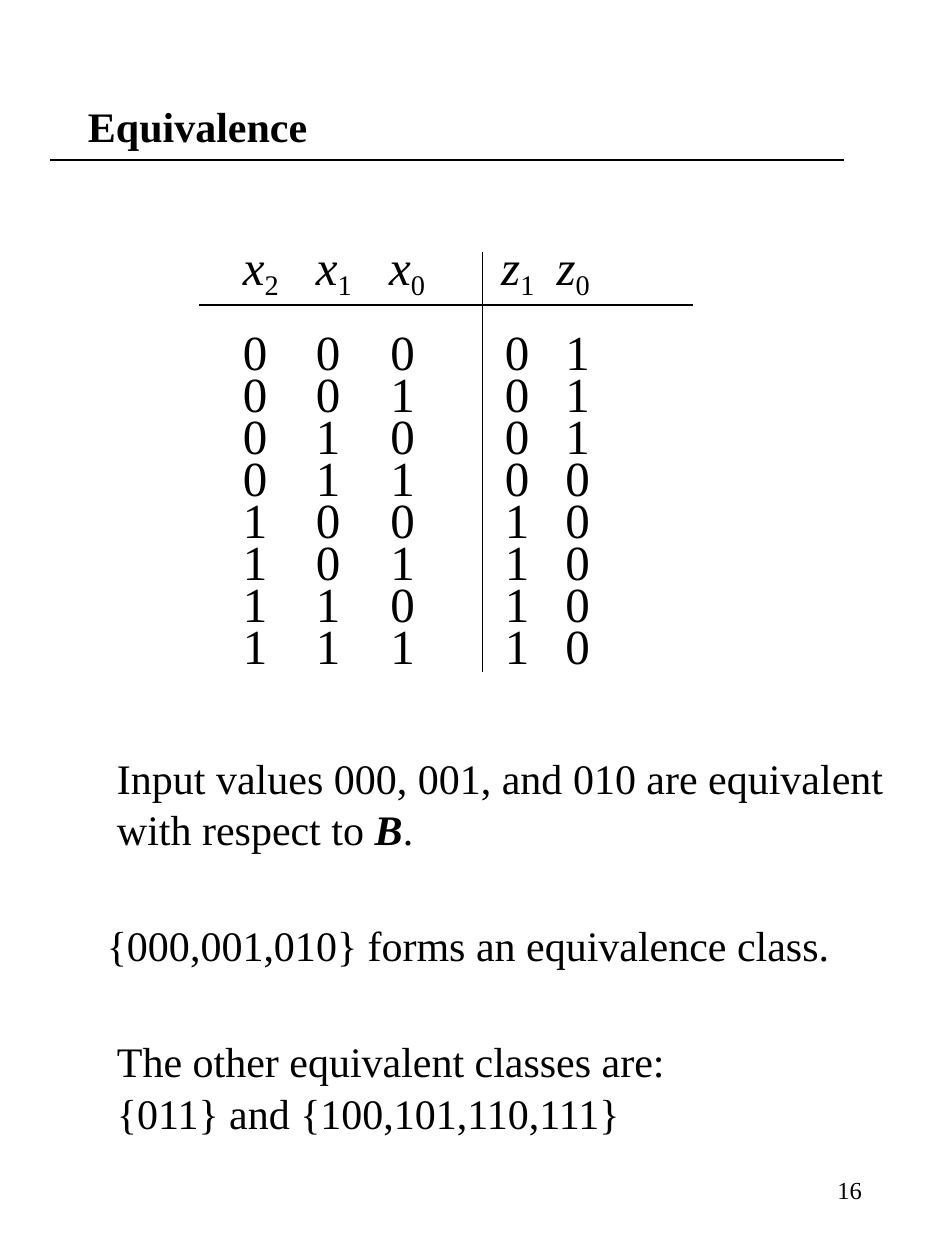
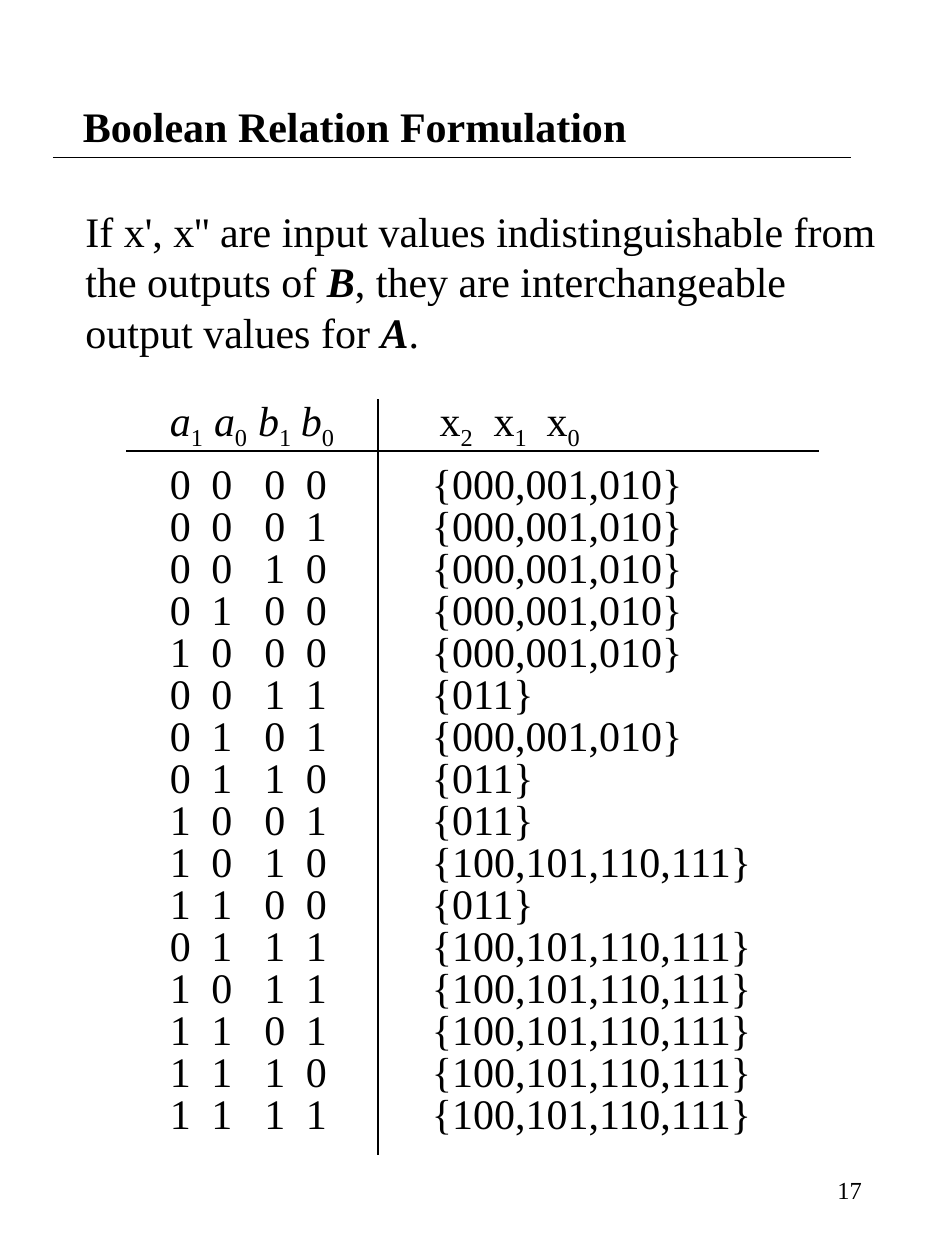
"""Build two slides on equivalence classes and the Boolean relation they give."""
from lxml.etree import SubElement
from pptx import Presentation
from pptx.dml.color import RGBColor
from pptx.enum.shapes import MSO_CONNECTOR as Connector
from pptx.enum.text import MSO_ANCHOR as Anchor, MSO_AUTO_SIZE as AutoSize, PP_ALIGN as Align
from pptx.oxml.ns import qn
from pptx.util import Inches, Pt

BLACK = RGBColor(0x00, 0x00, 0x00)
FONT = "Times New Roman"
BODY_SIZE = 24
ROW_PITCH = 1 / 3

LOW, MIDDLE, HIGH = "{000,001,010}", "{011}", "{100,101,110,111}"
BOLD_ITALIC = {"bold": True, "italic": True}

EQUIVALENCE = {
    "title": ("Equivalence", (0.6, 0.4, 6.37, 1.2)),
    "page_number": "16",
    "lines": [(0.4, 1.27, 6.7, 1.27), (1.58, 2.42, 5.5, 2.42), (3.83, 2, 3.83, 5.33)],
    "texts": [
        ((0.83, 5.92, 6.42, 0.5), [("Input values 000, 001, and 010 are equivalent", {})]),
        ((0.83, 6.33, 6.42, 0.5), [("with respect to ", {}), ("B", BOLD_ITALIC), (".", {})]),
        ((0.75, 7.25, 6.17, 0.9), [("{000,001,010} forms an equivalence class.", {})]),
        ((0.83, 8.17, 5.5, 0.5), [("The other equivalent classes are:", {})]),
        ((0.83, 8.58, 5.5, 0.5), [("{011} and {100,101,110,111}", {})]),
    ],
    "truth_table": {
        "size": 28,
        "subscript": -20,
        "variables": ["x2", "x1", "x0", "z1", "z0"],
        "italic_letters": "xz",
        "header_box": (1.83, 1.83, 3.83, 0.61),
        "header_stops": [0, 0.58, 1.16, 2.05, 2.49],
        "row_box": (1.83, 2.5, 3.83, 0.61),
        "row_stops": [0, 0.58, 1.17, 2.08, 2.56],
        "rows": [(bits, "") for bits in (
            "00001", "00101", "01001", "01100", "10010", "10110", "11010", "11110")],
    },
}

RELATION = {
    "title": ("Boolean Relation Formulation", (0.56, 0.33, 6.37, 1.33)),
    "page_number": "17",
    "lines": [(0.42, 1.25, 6.75, 1.25), (1, 3.58, 6.5, 3.58), (3, 3.17, 3, 9.17)],
    "texts": [
        ((0.58, 1.58, 6.58, 1.3), [
            ("If x', x'' are input values indistinguishable from the outputs of ", {}),
            ("B", BOLD_ITALIC),
            (", they are interchangeable output values for ", {}),
            ("A", BOLD_ITALIC),
            (".", {}),
        ]),
    ],
    "truth_table": {
        "size": BODY_SIZE,
        "subscript": -25,
        "variables": ["a1", "a0", "b1", "b0", "x2", "x1", "x0"],
        "italic_letters": "ab",
        "header_box": (1.17, 3.08, 4.58, 0.56),
        "header_stops": [0.08, 0.43, 0.78, 1.12, 2.22, 2.65, 3.07],
        "row_box": (0.83, 3.58, 6, 0.5),
        "row_stops": [0.42, 0.75, 1.17, 1.5, 2.5],
        "rows": [
            ("0000", LOW), ("0001", LOW), ("0010", LOW), ("0100", LOW),
            ("1000", LOW), ("0011", MIDDLE), ("0101", LOW), ("0110", MIDDLE),
            ("1001", MIDDLE), ("1010", HIGH), ("1100", MIDDLE), ("0111", HIGH),
            ("1011", HIGH), ("1101", HIGH), ("1110", HIGH), ("1111", HIGH),
        ],
    },
}


def add_text(page, place, spans, size=BODY_SIZE, stops=()):
    """Add a one-paragraph box of (text, style) spans and return its frame."""
    box = page.shapes.add_textbox(*map(Inches, place))
    frame = box.text_frame
    frame.word_wrap = True
    para = frame.paragraphs[0]
    para.space_before = Pt(size * 0.625)
    if stops:
        tab_list = SubElement(para._p.get_or_add_pPr(), qn("a:tabLst"))
        for stop in stops:
            SubElement(tab_list, qn("a:tab"), pos=str(Inches(stop)), algn="l")
    para.font.name, para.font.size = FONT, Pt(size)
    para.font.color.rgb = BLACK
    for text, style in spans:
        span = para.add_run()
        span.text = text
        if style.get("bold"):
            span.font.bold = True
        if style.get("italic"):
            span.font.italic = True
        if "subscript" in style:
            span._r.get_or_add_rPr().set("baseline", str(style["subscript"] * 1000))
    return frame


def add_body(page, place, spans, size=BODY_SIZE, stops=()):
    """Add a text box that grows with its text."""
    add_text(page, place, spans, size, stops).auto_size = AutoSize.SHAPE_TO_FIT_TEXT


def add_line(page, ends):
    """Add a thin black line."""
    line = page.shapes.add_connector(Connector.STRAIGHT, *map(Inches, ends))
    line.line.color.rgb = BLACK
    line.line.width = Pt(1)
    SubElement(line._element.spPr, qn("a:effectLst"))


def add_truth_table(page, table):
    """Set the variable names and the rows of values on shared tab stops."""
    header = []
    for index, (letter, digit) in enumerate(table["variables"]):
        tab = "\t" if index or table["header_stops"][0] else ""
        header.append((tab + letter, {"italic": letter in table["italic_letters"]}))
        header.append((digit, {"subscript": table["subscript"]}))
    add_body(page, table["header_box"], header, table["size"], table["header_stops"])

    left, top, width, height = table["row_box"]
    indent = "\t" if table["row_stops"][0] else ""
    for index, (bits, output_class) in enumerate(table["rows"]):
        cells = [*bits, output_class] if output_class else bits
        place = (left, top + index * ROW_PITCH, width, height)
        add_body(page, place, [(indent + "\t".join(cells), {})],
                 table["size"], table["row_stops"])


def add_page(deck, content):
    """Add one slide with its title, lines, truth table, texts and number."""
    page = deck.slides.add_slide(deck.slide_layouts[6])
    title, place = content["title"]
    frame = add_text(page, place, [(title, {})])
    frame.vertical_anchor = Anchor.MIDDLE
    frame.paragraphs[0].space_before = Pt(0)
    frame.paragraphs[0].font.bold = True
    for ends in content["lines"]:
        add_line(page, ends)
    add_truth_table(page, content["truth_table"])
    for place, spans in content["texts"]:
        add_body(page, place, spans)
    number = add_text(page, (5.38, 9.11, 1.56, 0.67), [(content["page_number"], {})], 14)
    number.word_wrap = False
    number.vertical_anchor = Anchor.MIDDLE
    number.paragraphs[0].space_before = Pt(0)
    number.paragraphs[0].alignment = Align.RIGHT


def main():
    """Build and save the deck."""
    deck = Presentation()
    deck.slide_width, deck.slide_height = Inches(7.5), Inches(10)
    for content in (EQUIVALENCE, RELATION):
        add_page(deck, content)
    deck.save("out.pptx")


if __name__ == "__main__":
    main()
